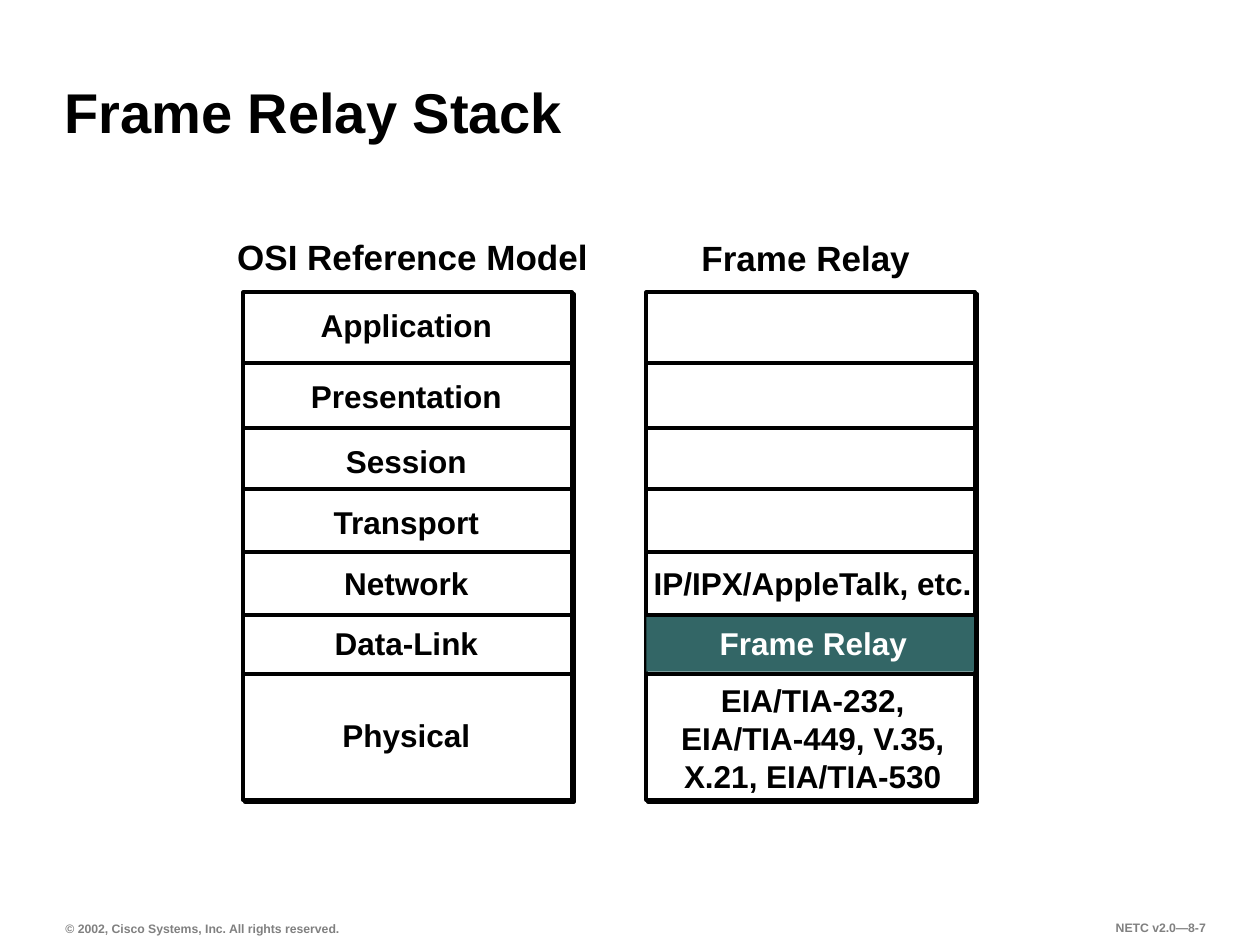
import lxml.etree
import pptx
import pptx.dml.color
import pptx.enum.shapes
import pptx.enum.text
import pptx.oxml.ns
import pptx.util

Inches, Pt = pptx.util.Inches, pptx.util.Pt
RGBColor = pptx.dml.color.RGBColor
PP_ALIGN = pptx.enum.text.PP_ALIGN
MSO_ANCHOR = pptx.enum.text.MSO_ANCHOR
RECT = pptx.enum.shapes.MSO_SHAPE.RECTANGLE
STRAIGHT = pptx.enum.shapes.MSO_CONNECTOR.STRAIGHT
qn = pptx.oxml.ns.qn

BLACK = RGBColor(0x00, 0x00, 0x00)
WHITE = RGBColor(0xFF, 0xFF, 0xFF)
GRAY = RGBColor(0x80, 0x80, 0x80)
TEAL = RGBColor(0x33, 0x66, 0x66)

STACK_TOP, STACK_W, STACK_H = 2.32, 2.61, 4.03
OSI_X, RELAY_X = 1.93, 5.13
DIVIDERS = [2.88, 3.4, 3.88, 4.38, 4.88, 5.35]

prs = pptx.Presentation()
prs.slide_width, prs.slide_height = Inches(10), Inches(7.5)
s = prs.slides.add_slide(prs.slide_layouts[5])


def set_text(sp, text, size, color=BLACK, align=PP_ALIGN.CENTER,
             anchor=MSO_ANCHOR.TOP, margins=(0.1, 0.05), wrap=True):
    tf = sp.text_frame
    tf.text = text
    tf.word_wrap = wrap
    tf.auto_size = pptx.enum.text.MSO_AUTO_SIZE.NONE
    tf.vertical_anchor = anchor
    tf.margin_left = tf.margin_right = Inches(margins[0])
    tf.margin_top = tf.margin_bottom = Inches(margins[1])
    p = tf.paragraphs[0]
    p.alignment = align
    p.font.name, p.font.size, p.font.bold = "Arial", Pt(size), True
    p.font.color.rgb = color
    return p


def add_text(x, y, w, h, text, size, **options):
    sp = s.shapes.add_textbox(Inches(x), Inches(y), Inches(w), Inches(h))
    set_text(sp, text, size, **options)


# Title and footer
title = s.shapes.title
title.left, title.top = Inches(0.42), Inches(0.28)
title.width, title.height = Inches(8.34), Inches(0.92)
p = set_text(title, "Frame Relay Stack", 32, align=PP_ALIGN.LEFT,
             anchor=MSO_ANCHOR.BOTTOM, margins=(0.09, 0.04))
p.line_spacing = 0.9

add_text(0.43, 7.26, 2.36, 0.21,
         "© 2002, Cisco Systems, Inc. All rights reserved.", 7, color=GRAY,
         align=PP_ALIGN.LEFT, anchor=MSO_ANCHOR.BOTTOM,
         margins=(0.09, 0.04), wrap=False)
add_text(8.38, 7.26, 1.28, 0.21, "NETC v2.0—8-7", 7, color=GRAY,
         align=PP_ALIGN.RIGHT, margins=(0.09, 0.04), wrap=False)

# Stack frames with a hard black shadow
for x in (OSI_X, RELAY_X):
    sp = s.shapes.add_shape(RECT, Inches(x), Inches(STACK_TOP),
                            Inches(STACK_W), Inches(STACK_H))
    sp.fill.solid()
    sp.fill.fore_color.rgb = WHITE
    sp.line.color.rgb = BLACK
    sp.line.width = Pt(2.25)
    sp.shadow.inherit = False
    effects = sp._element.spPr.find(qn("a:effectLst"))
    shadow = lxml.etree.SubElement(effects, qn("a:outerShdw"), blurRad="0",
                                   dist=str(Pt(1.4)), dir="2700000",
                                   algn="ctr", rotWithShape="0")
    lxml.etree.SubElement(shadow, qn("a:srgbClr"), val=str(BLACK))

# Highlighted data-link layer
sp = s.shapes.add_shape(RECT, Inches(RELAY_X), Inches(4.89),
                        Inches(2.6), Inches(0.44))
sp.fill.solid()
sp.fill.fore_color.rgb = TEAL
sp.line.fill.background()
sp.shadow.inherit = False

# Layer dividers
for x in (OSI_X, RELAY_X):
    for y in DIVIDERS:
        line = s.shapes.add_connector(STRAIGHT, Inches(x), Inches(y),
                                      Inches(x + STACK_W), Inches(y))
        line.line.color.rgb = BLACK
        line.line.width = Pt(2.25)
        lxml.etree.SubElement(line._element.spPr, qn("a:effectLst"))

# Stack headings
add_text(1.76, 1.82, 3.03, 0.44, "OSI Reference Model", 20)
add_text(4.88, 1.83, 3.03, 0.44, "Frame Relay", 20)

# Layer labels
osi_layers = [
    ("Application", 2.38), ("Presentation", 2.94), ("Session", 3.46),
    ("Transport", 3.94), ("Network", 4.43), ("Data-Link", 4.9),
    ("Physical", 5.63),
]
for text, y in osi_layers:
    add_text(2.28, y, 1.89, 0.4, text, 18)

add_text(4.84, 4.43, 3.22, 0.4, "IP/IPX/AppleTalk, etc.", 18)
add_text(5.51, 4.9, 1.89, 0.4, "Frame Relay", 18, color=WHITE)
add_text(5.16, 5.36, 2.58, 1,
         "EIA/TIA-232, EIA/TIA-449, V.35, X.21, EIA/TIA-530", 18)

prs.save("out.pptx")
